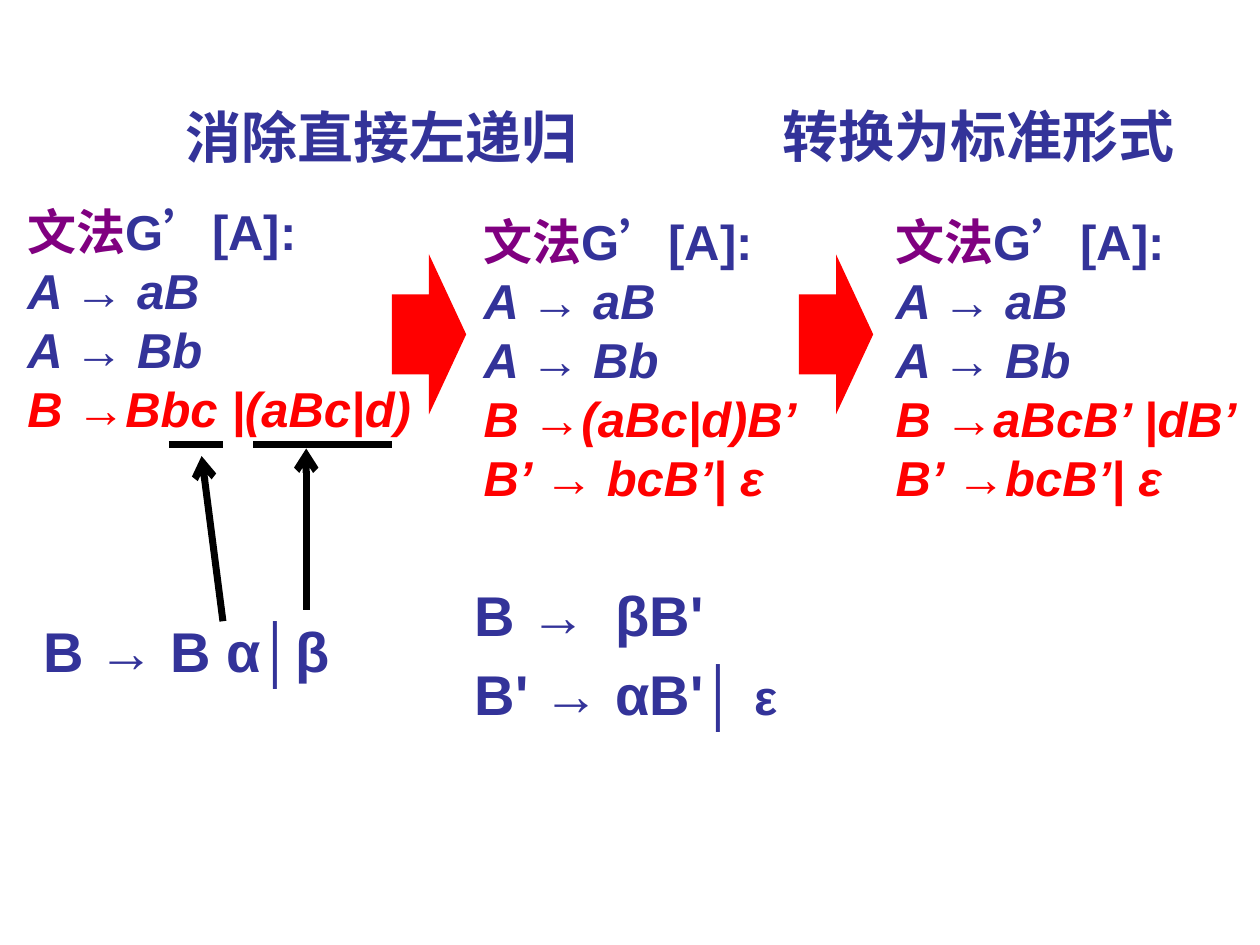
import pptx
import pptx.util
import pptx.dml.color
import pptx.enum.shapes
import pptx.enum.text
import pptx.oxml
import pptx.oxml.ns

Pt = pptx.util.Pt
HUES = {"blue": "333399", "plum": "800080", "red": "FF0000", "black": "000000"}


def tint(name):
    return pptx.dml.color.RGBColor.from_string(HUES[name])


def style(run, size, hue, face="Arial", slant=False):
    font = run.font
    font.name, font.size, font.bold = face, Pt(size), True
    font.color.rgb = tint(hue)
    if slant:
        font.italic = True


def frame(slide, box):
    shape = slide.shapes.add_textbox(*map(Pt, box))
    shape.text_frame.word_wrap = True
    return shape.text_frame


def head(shape, box, text):
    shape.left, shape.top, shape.width, shape.height = map(Pt, box)
    body = shape.text_frame
    body.text = text
    body.word_wrap = True
    body.auto_size = pptx.enum.text.MSO_AUTO_SIZE.NONE
    body.vertical_anchor = pptx.enum.text.MSO_ANCHOR.TOP
    para = body.paragraphs[0]
    para.alignment = pptx.enum.text.PP_ALIGN.CENTER
    style(para.runs[0], 32, "blue")


def grammar(slide, box, rules):
    body = frame(slide, box)
    first = body.paragraphs[0]
    for text, hue, face in (("文法", "plum", "Noto Sans CJK SC"), ("G’[A]:", "blue", "Arial")):
        run = first.add_run()
        run.text = text
        style(run, 28, hue, face)
    for i, text in enumerate(["A → aB", "A → Bb"] + rules):
        para = body.add_paragraph()
        para.text = text
        style(para.runs[0], 28, "blue" if i < 2 else "red", slant=True)


def pattern(slide, box, lines, inset=0, stop=None):
    body = frame(slide, box)
    for i, parts in enumerate(lines):
        para = body.add_paragraph() if i else body.paragraphs[0]
        props = para._p.get_or_add_pPr()
        props.set("marL", str(Pt(inset)))
        if i:
            para.space_before = Pt(6.4)
        if stop:
            tabs = pptx.oxml.parse_xml(
                f'<a:tabLst {pptx.oxml.ns.nsdecls("a")}><a:tab pos="{Pt(stop)}" algn="l"/></a:tabLst>')
            props.append(tabs)
        for text, size in parts:
            run = para.add_run()
            run.text = text
            style(run, size, "blue")


def step(slide, box):
    shape = slide.shapes.add_shape(pptx.enum.shapes.MSO_SHAPE.RIGHT_ARROW, *map(Pt, box))
    shape.shadow.inherit = False
    shape.fill.solid()
    shape.fill.fore_color.rgb = tint("red")
    shape.line.fill.background()


def stroke(slide, ends, tip=False):
    line = slide.shapes.add_connector(pptx.enum.shapes.MSO_CONNECTOR.STRAIGHT, *map(Pt, ends))
    line.line.width = Pt(4)
    line.line.color.rgb = tint("black")
    space = pptx.oxml.ns.nsdecls("a")
    if tip:
        line.line._get_or_add_ln().append(pptx.oxml.parse_xml(f'<a:tailEnd {space} type="arrow"/>'))
    line._element.spPr.append(pptx.oxml.parse_xml(f"<a:effectLst {space}/>"))


def main():
    deck = pptx.Presentation()
    deck.slide_width, deck.slide_height = Pt(720), Pt(540)
    slide = deck.slides.add_slide(deck.slide_layouts[5])

    head(slide.shapes.title, (75.6, 54.7, 285, 46), "消除直接左递归")
    head(slide.shapes.add_textbox(0, 0, 0, 0), (416.9, 54.7, 285, 46), "转换为标准形式")

    for left in (223.9, 456.5):
        step(slide, (left, 145.4, 42.5, 91.4))

    grammar(slide, (8.6, 111.6, 238.3, 198), ["B →Bbc |(aBc|d)"])
    grammar(slide, (269.3, 117.4, 238.3, 198), ["B →(aBc|d)B’", "B’ → bcB’| ε"])
    grammar(slide, (504.7, 117.4, 263.5, 198), ["B →aBcB’ |dB’", "B’ →bcB’| ε"])

    pattern(slide, (8.6, 348.5, 209.5, 46), [[("B → B α│β", 32)]], inset=8.9)
    pattern(slide, (264.2, 328.3, 237.6, 93),
            [[("B →\tβB'", 32)], [("B' → αB'│ ", 32), ("ε", 28)]], stop=80.6)

    for left, right in ((96.5, 127.4), (144.7, 223.9)):
        stroke(slide, (left, 254.2, right, 254.2))
    for ends in ((127.4, 355, 115.2, 260.6), (175, 348.5, 175, 256.3)):
        stroke(slide, ends, tip=True)

    deck.save("out.pptx")


if __name__ == "__main__":
    main()
